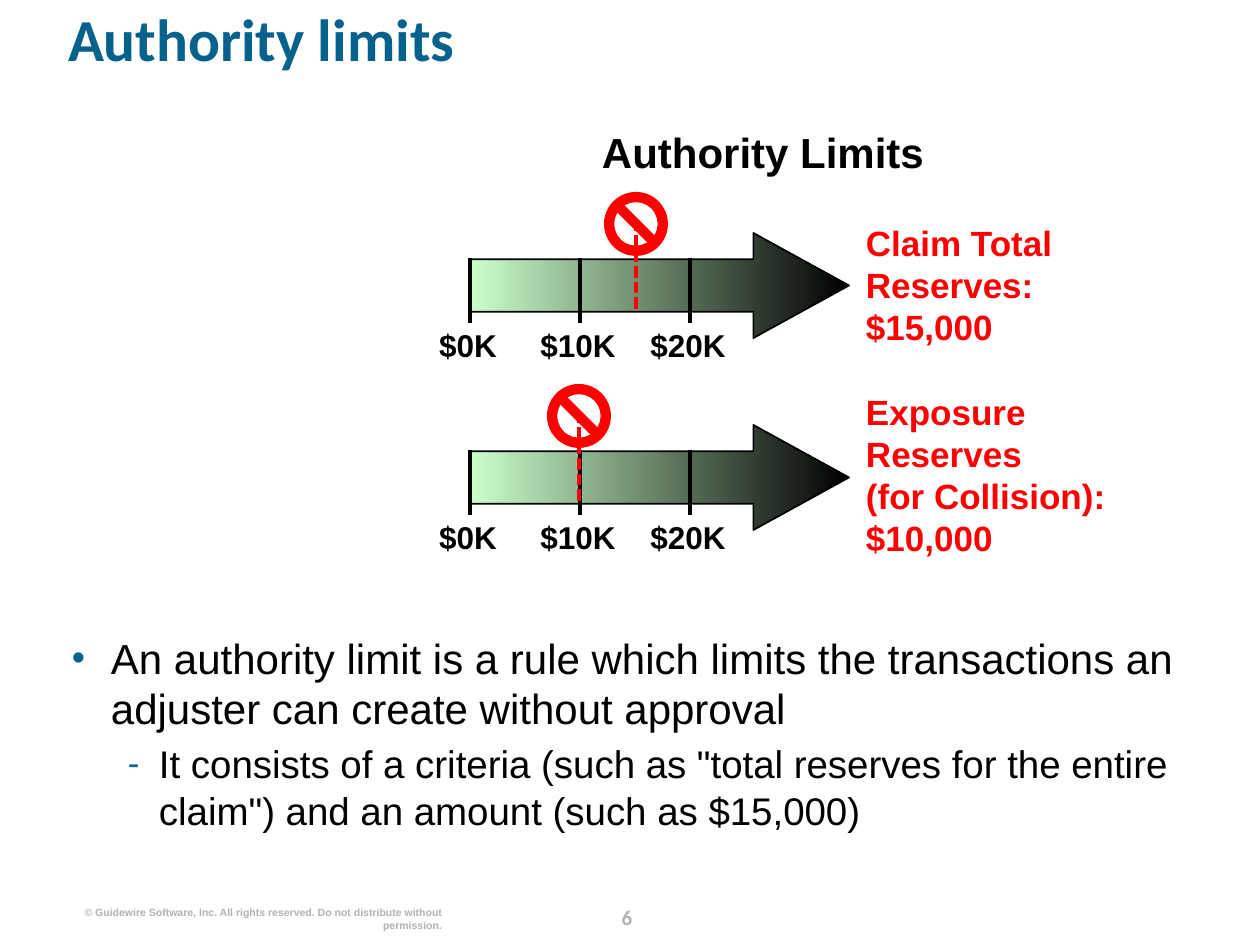
from lxml import etree
from pptx import Presentation
from pptx import util as u
from pptx.dml.color import RGBColor
from pptx.enum import dml, shapes, text
from pptx.oxml.ns import qn

BLUE = RGBColor(0x04, 0x62, 0x8C)
BLACK = RGBColor(0, 0, 0)
RED = RGBColor(0xFF, 0, 0)
GREEN = RGBColor(0xCC, 0xFF, 0xCC)
GRAY = RGBColor(0xB2, 0xB2, 0xB2)

SCALE = 914400 / 126
AXIS_LEFT = 470
TICK_STEP = 110
LABEL_W = 122
SIGN = 64
LEFT, CENTER, RIGHT = (text.PP_ALIGN.LEFT, text.PP_ALIGN.CENTER,
                       text.PP_ALIGN.RIGHT)


def px(n):
    return u.Emu(round(n * SCALE))


def apply(obj, **fmt):
    for name, value in fmt.items():
        setattr(obj, name, value)


def place(sp, x, y, w, h):
    apply(sp, left=px(x), top=px(y), width=px(w), height=px(h))


def setup_frame(tf):
    apply(tf, margin_left=0, margin_top=0, margin_right=0, margin_bottom=0,
          word_wrap=True, auto_size=text.MSO_AUTO_SIZE.NONE,
          vertical_anchor=text.MSO_ANCHOR.TOP)


def write(p, content, size, color, bold=True, font="Arial", **fmt):
    p.text = content
    apply(p, **fmt)
    for r in p.runs:
        apply(r.font, size=u.Pt(size), bold=bold, name=font)
        r.font.color.rgb = color


def add_text(s, box, content, size, color, **fmt):
    sp = s.shapes.add_textbox(*map(px, box))
    setup_frame(sp.text_frame)
    write(sp.text_frame.paragraphs[0], content, size, color, **fmt)


def add_line(s, x, y1, y2, color, dash=None):
    c = s.shapes.add_connector(shapes.MSO_CONNECTOR.STRAIGHT,
                               px(x), px(y1), px(x), px(y2))
    apply(c.line, width=u.Pt(2.25), dash_style=dash)
    c.line.color.rgb = color
    etree.SubElement(c._element.spPr, qn("a:effectLst"))


def add_arrow(s, top):
    sp = s.shapes.add_shape(shapes.MSO_SHAPE.RIGHT_ARROW, px(AXIS_LEFT),
                            px(top), px(379), px(105))
    sp.shadow.inherit = False
    sp.adjustments[0], sp.adjustments[1] = 0.5, 0.91
    sp.fill.gradient()
    sp.fill.gradient_angle = 0
    for stop, color in zip(sp.fill.gradient_stops, (GREEN, BLACK)):
        stop.color.rgb = color
    sp.line.color.rgb = BLACK
    sp.line.width = u.Pt(1)


def add_stop_sign(s, x, y):
    sp = s.shapes.add_shape(shapes.MSO_SHAPE.NO_SYMBOL, px(x - SIGN / 2),
                            px(y), px(SIGN), px(SIGN))
    sp.shadow.inherit = False
    sp.adjustments[0] = 0.16
    sp.fill.solid()
    sp.fill.fore_color.rgb = RED
    sp.line.fill.background()


def add_limit_scale(s, top, limit_x):
    add_arrow(s, top)
    for i, label in enumerate(("$0K", "$10K", "$20K")):
        x = AXIS_LEFT + i * TICK_STEP
        add_line(s, x, top + 90, top + 25, BLACK)
        add_text(s, (x - 2 - LABEL_W / 2, top + 93, LABEL_W, 38), label, 18,
                 BLACK, alignment=CENTER)
    add_line(s, limit_x, top + 76, top - 9, RED, dml.MSO_LINE.SQUARE_DOT)
    add_stop_sign(s, limit_x, top - 41)


def add_bullet(p, char, indent, hanging):
    pPr = p._p.get_or_add_pPr()
    pPr.set("marL", str(px(indent)))
    pPr.set("indent", str(-px(hanging)))
    clr = etree.SubElement(pPr, qn("a:buClr"))
    etree.SubElement(clr, qn("a:srgbClr"), val=str(BLUE))
    etree.SubElement(pPr, qn("a:buSzPct"), val="90000")
    etree.SubElement(pPr, qn("a:buFont"), typeface="Arial")
    etree.SubElement(pPr, qn("a:buChar"), char=char)


def fill_title(sp):
    place(sp, 68, 16, 1147, 102)
    setup_frame(sp.text_frame)
    write(sp.text_frame.paragraphs[0], "Authority limits", 34, BLUE,
          font="Calibri", alignment=LEFT, line_spacing=0.8)


def fill_body(sp):
    place(sp, 72, 632, 1147, 237)
    tf = sp.text_frame
    setup_frame(tf)
    items = (
        ("An authority limit is a rule which limits the transactions an "
         "adjuster can create without approval", 24, "•", 39, 39, 0),
        ('It consists of a criteria (such as "total reserves for the entire '
         'claim") and an amount (such as $15,000)', 22, "-", 87, 31, 4.4),
    )
    for level, (content, size, char, indent, hanging, before) in enumerate(items):
        p = tf.add_paragraph() if level else tf.paragraphs[0]
        add_bullet(p, char, indent, hanging)
        write(p, content, size, BLACK, bold=False, level=level,
              space_before=u.Pt(before))


def main():
    prs = Presentation()
    apply(prs, slide_width=u.Inches(10), slide_height=u.Inches(7.5))
    s = prs.slides.add_slide(prs.slide_layouts[1])
    fill_title(s.shapes.title)
    fill_body(s.placeholders[1])
    add_text(s, (474, 127, 578, 50), "Authority Limits", 24, BLACK,
             alignment=CENTER)
    add_limit_scale(s, 233, 636)
    add_limit_scale(s, 425, 579)
    add_text(s, (866, 222, 224, 126),
             "Claim Total\nReserves:\n$15,000", 20, RED)
    add_text(s, (866, 390, 247, 168),
             "Exposure\nReserves\n(for Collision):\n$10,000", 20, RED)
    add_text(s, (77, 906, 365, 26),
             "© Guidewire Software, Inc. All rights reserved. "
             "Do not distribute without permission.", 6, GRAY,
             alignment=RIGHT)
    add_text(s, (591, 898, 72, 32), "6", 12, GRAY, font="Calibri",
             alignment=CENTER, line_spacing=u.Pt(18))
    prs.save("out.pptx")


if __name__ == "__main__":
    main()
